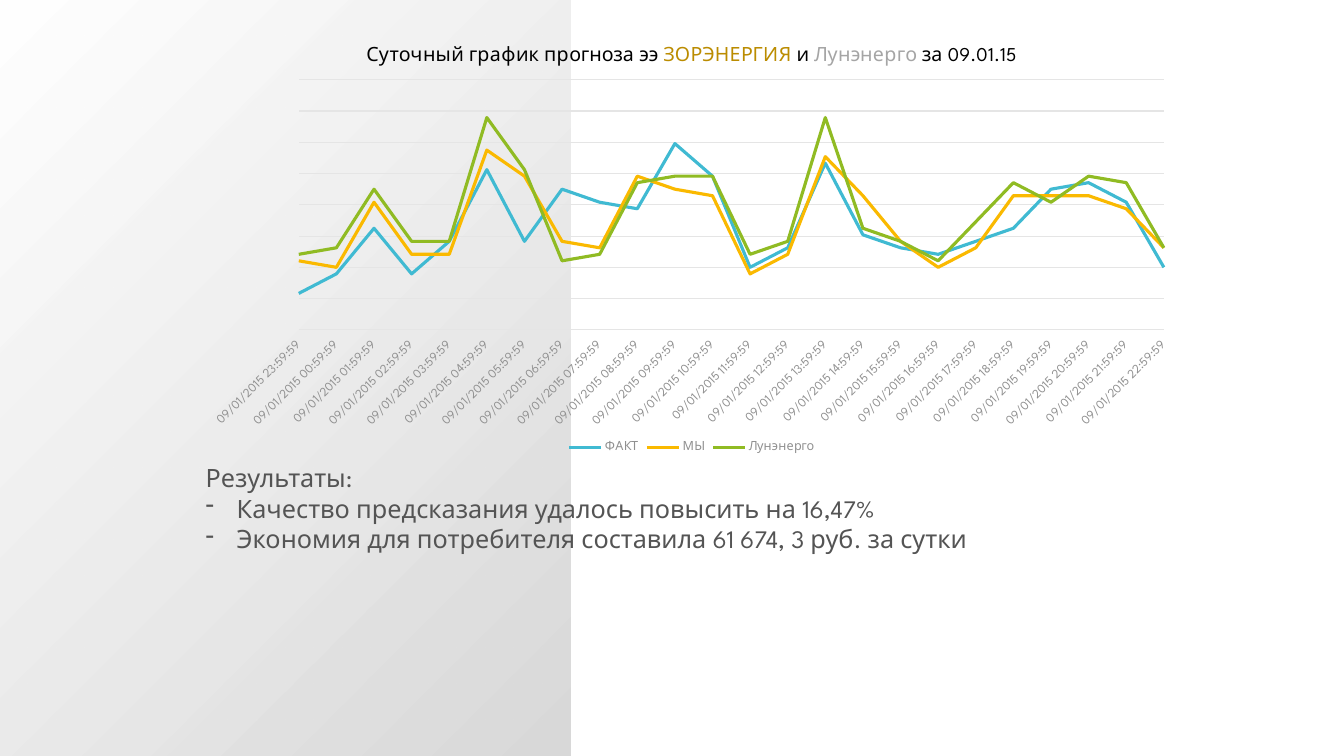
from lxml import etree
from pptx import Presentation
from pptx.chart.data import CategoryChartData
from pptx.dml.color import RGBColor
from pptx.enum.chart import XL_CHART_TYPE, XL_LEGEND_POSITION, XL_TICK_LABEL_POSITION, XL_TICK_MARK
from pptx.enum.shapes import MSO_SHAPE
from pptx.oxml import parse_xml
from pptx.oxml.ns import nsdecls, qn
from pptx.util import Inches, Pt

FONT = "League Spartan"
COLORS = {
    "shade": "D9D9D9", "white": "FFFFFF", "text": "545454", "label": "909090",
    "grid": "E5E5E5", "black": "000000", "gold": "BB8C00", "gray": "A5A5A5",
    "blue": "40BAD2", "yellow": "FAB900", "green": "90BB23",
}
RIVAL = "Лунэнерго"
SERIES = [
    ("ФАКТ", "blue", [73, 76, 83, 76, 81, 92, 81, 89, 87, 86, 96, 91,
                      77, 80, 93, 82, 80, 79, 81, 83, 89, 90, 87, 77]),
    ("МЫ", "yellow", [78, 77, 87, 79, 79, 95, 91, 81, 80, 91, 89, 88,
                      76, 79, 94, 88, 81, 77, 80, 88, 88, 88, 86, 80]),
    (RIVAL, "green", [79, 80, 89, 81, 81, 100, 92, 78, 79, 90, 91, 91,
                      79, 81, 100, 83, 81, 78, 84, 90, 87, 91, 90, 80]),
]
TITLE = [
    ("Суточный график прогноза ээ ", "black"), ("ЗОРЭНЕРГИЯ", "gold"),
    (" и ", "black"), (RIVAL, "gray"), (" за 09.01.15", "black"),
]
RESULTS = [
    "Результаты:",
    "Качество предсказания удалось повысить на 16,47%",
    "Экономия для потребителя составила 61 674, 3 руб. за сутки",
]


def rgb(name):
    return RGBColor.from_string(COLORS[name])


def style(font, size, color):
    font.name, font.size, font.bold = FONT, Pt(size), False
    font.color.rgb = rgb(color)


deck = Presentation()
deck.slide_width, deck.slide_height = Inches(13.33), Inches(7.5)
slide = deck.slides.add_slide(deck.slide_layouts[6])

# Shaded panel on the left
panel = slide.shapes.add_shape(MSO_SHAPE.RECTANGLE, 0, 0, Inches(5.66), Inches(7.5))
panel.shadow.inherit = False
panel.line.fill.background()
panel.fill.gradient()
for stop, color, place in zip(panel.fill.gradient_stops, ("shade", "white"), (0, 1)):
    stop.color.rgb = rgb(color)
    stop.position = place
grad = panel._element.spPr.find(qn("a:gradFill"))
etree.SubElement(grad.findall(".//" + qn("a:srgbClr"))[1], qn("a:alpha"), val="89000")
grad.replace(grad.find(qn("a:lin")), parse_xml(
    f'<a:path {nsdecls("a")} path="circle"><a:fillToRect l="100000" t="100000"/></a:path>'))

# Results
box = slide.shapes.add_textbox(Inches(1.94), Inches(4.54), Inches(9.84), Inches(1.01))
frame = box.text_frame
frame.word_wrap = True
for i, text in enumerate(RESULTS):
    para = frame.paragraphs[0] if i == 0 else frame.add_paragraph()
    para.text = text
    style(para.font, 18, "text")
    if i:
        props = para._p.get_or_add_pPr()
        props.set("marL", str(Inches(0.31)))
        props.set("indent", str(-Inches(0.31)))
        props.insert(0, parse_xml(f'<a:buChar {nsdecls("a")} char="-"/>'))

# Daily chart
data = CategoryChartData()
data.categories = [f"09/01/2015 {(hour - 1) % 24:02}:59:59" for hour in range(24)]
for name, _, values in SERIES:
    data.add_series(name, values)
chart = slide.shapes.add_chart(XL_CHART_TYPE.LINE, Inches(1.94), Inches(0.29),
                               Inches(9.84), Inches(4.25), data).chart
style(chart.font, 10, "text")

chart.has_title = True
head = chart.chart_title.text_frame.paragraphs[0]
style(head.font, 14, "black")
for text, color in TITLE:
    run = head.add_run()
    run.text = text
    style(run.font, 14, color)
chart.chart_title.include_in_layout = False

chart.has_legend = True
chart.legend.position = XL_LEGEND_POSITION.BOTTOM
chart.legend.include_in_layout = False
style(chart.legend.font, 9, "label")

plot = chart.plots[0]
plot.vary_by_categories = False
for line, (_, color, _) in zip(plot.series, SERIES):
    line.smooth = False
    line.format.line.color.rgb = rgb(color)
    line.format.line.width = Pt(2.25)

times = chart.category_axis
times.major_tick_mark = times.minor_tick_mark = XL_TICK_MARK.NONE
times.tick_label_position = XL_TICK_LABEL_POSITION.LOW
style(times.tick_labels.font, 9, "label")
times._element.find(qn("c:txPr")).find(qn("a:bodyPr")).set("rot", "-2700000")

power = chart.value_axis
power.minimum_scale, power.maximum_scale, power.major_unit = 67.4, 105.8, 4.8
power.crosses_at = 77
power.has_major_gridlines = True
power.visible = False
for edge in (times.format.line, power.major_gridlines.format.line):
    edge.color.rgb = rgb("grid")
    edge.width = Pt(0.75)

# Lines start and end on the edges of the plot
for old in power._element.findall(qn("c:crossBetween")):
    power._element.remove(old)
power._element.find(qn("c:crosses")).addnext(
    parse_xml(f'<c:crossBetween {nsdecls("c")} val="midCat"/>'))

area = chart._chartSpace.chart.plotArea
for old in area.findall(qn("c:layout")):
    area.remove(old)
layout = parse_xml(f'<c:layout {nsdecls("c")}><c:manualLayout/></c:layout>')
for tag, value in [("layoutTarget", "inner"), ("xMode", "edge"), ("yMode", "edge"),
                   ("x", "0.104"), ("y", "0.118"), ("w", "0.872"), ("h", "0.584")]:
    etree.SubElement(layout[0], qn("c:" + tag), val=value)
area.insert(0, layout)

deck.save("out.pptx")
